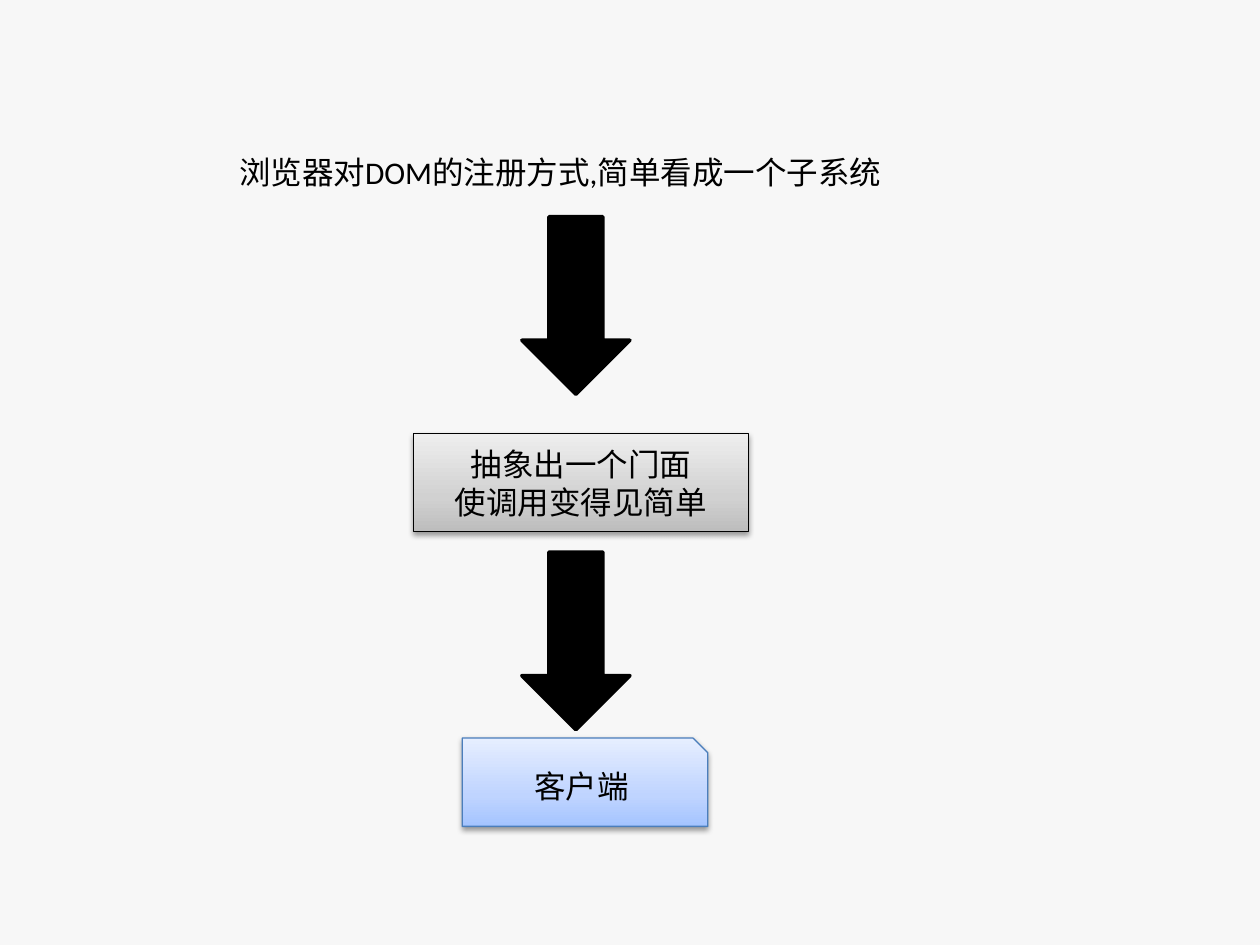
from copy import deepcopy
from lxml import etree
from pptx import Presentation
from pptx.dml.color import RGBColor
from pptx.enum.shapes import MSO_SHAPE as Shape
from pptx.enum.text import MSO_ANCHOR as Anchor, MSO_AUTO_SIZE as AutoSize, PP_ALIGN as Align
from pptx.oxml import parse_xml
from pptx.util import Cm, Pt

# Content: lengths in centimetres
BACKGROUND, BLACK = "F7F7F7", "000000"
FONT, FONT_SIZE = "Calibri", 18
HEADING = ("浏览器对DOM的注册方式,简单看成一个子系统", (4.57, 2.97, 13.89, 1.02))
BOXES = [
    dict(kind=Shape.RECTANGLE, text="抽象出一个门面\n使调用变得见简单",
         place=(8.33, 8.74, 6.76, 1.98), line=BLACK,
         stops=[(0, "BDBDBD"), (0.35, "D1D1D1"), (1, "EEEEEE")]),
    dict(kind=Shape.SNIP_1_RECTANGLE, text="客户端",
         place=(9.32, 14.88, 4.95, 1.78), line="4B7EBC",
         stops=[(0, "A4C4FF"), (0.35, "BFD4FF"), (1, "E6EEFF")]),
]
ARROW_LEFT, ARROW_SIZE = 10.52, (2.18, 3.58)
ARROW_TOPS = [4.37, 11.13]
SHADOW = """<a:effectLst xmlns:a="http://schemas.openxmlformats.org/drawingml/2006/main">
<a:outerShdw blurRad="40000" dist="20000" dir="5400000" rotWithShape="0">
<a:srgbClr val="000000"><a:alpha val="38000"/></a:srgbClr></a:outerShdw></a:effectLst>"""


def color(value):
    return RGBColor.from_string(value)


def write(text_frame, text, align):
    text_frame.text = text
    text_frame.word_wrap = True
    for paragraph in text_frame.paragraphs:
        paragraph.alignment = align
        for run in paragraph.runs:
            run.font.name, run.font.size = FONT, Pt(FONT_SIZE)
            run.font.color.rgb = color(BLACK)


def add_shape(kind, place, line, width):
    shape = slide.shapes.add_shape(kind, *map(Cm, place))
    shape.shadow.inherit = False
    shape.line.color.rgb, shape.line.width = color(line), Pt(width)
    return shape


def fill_gradient(fill, stops):
    fill.gradient()
    fill.gradient_angle = 90
    first = fill.gradient_stops[0]._gs
    first.addnext(deepcopy(first))
    for stop, (position, value) in zip(fill.gradient_stops, stops):
        stop.position, stop.color.rgb = position, color(value)


presentation = Presentation()
presentation.slide_width, presentation.slide_height = Cm(25.4), Cm(19.05)
slide = presentation.slides.add_slide(presentation.slide_layouts[6])
slide.background.fill.solid()
slide.background.fill.fore_color.rgb = color(BACKGROUND)

# Heading
heading_text, heading_place = HEADING
heading = slide.shapes.add_textbox(*map(Cm, heading_place))
write(heading.text_frame, heading_text, Align.LEFT)
heading.text_frame.auto_size = AutoSize.SHAPE_TO_FIT_TEXT

# Boxes with gradient and soft shadow
for box in BOXES:
    shape = add_shape(box["kind"], box["place"], box["line"], 0.75)
    fill_gradient(shape.fill, box["stops"])
    properties = shape._element.spPr
    properties.replace(properties.find("{*}effectLst"), parse_xml(SHADOW))
    shape.text_frame.vertical_anchor = Anchor.MIDDLE
    write(shape.text_frame, box["text"], Align.CENTER)

# Arrows from step to step
for top in ARROW_TOPS:
    arrow = add_shape(Shape.DOWN_ARROW, (ARROW_LEFT, top, *ARROW_SIZE), BLACK, 2)
    arrow.fill.solid()
    arrow.fill.fore_color.rgb = color(BLACK)

presentation.save("out.pptx")
